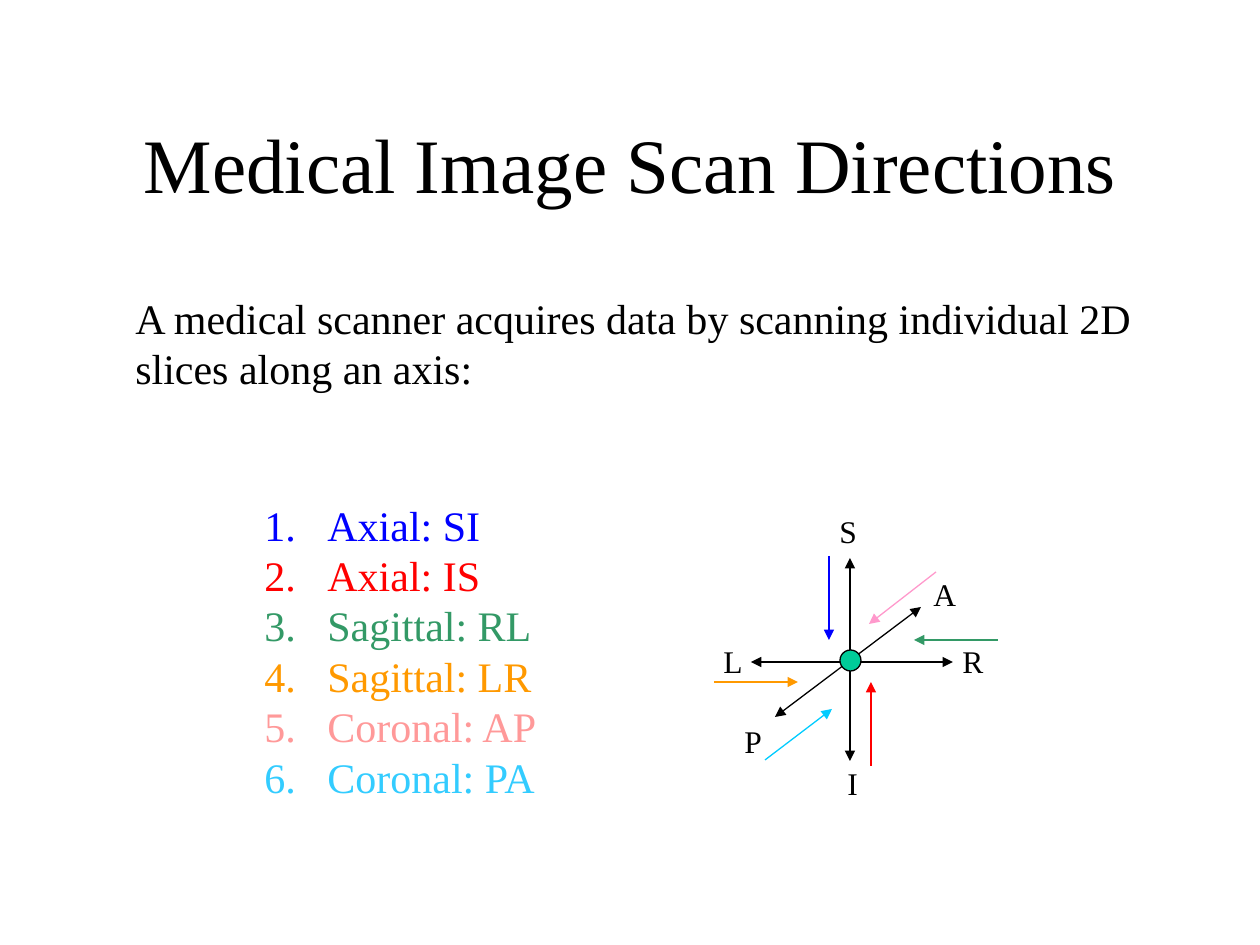
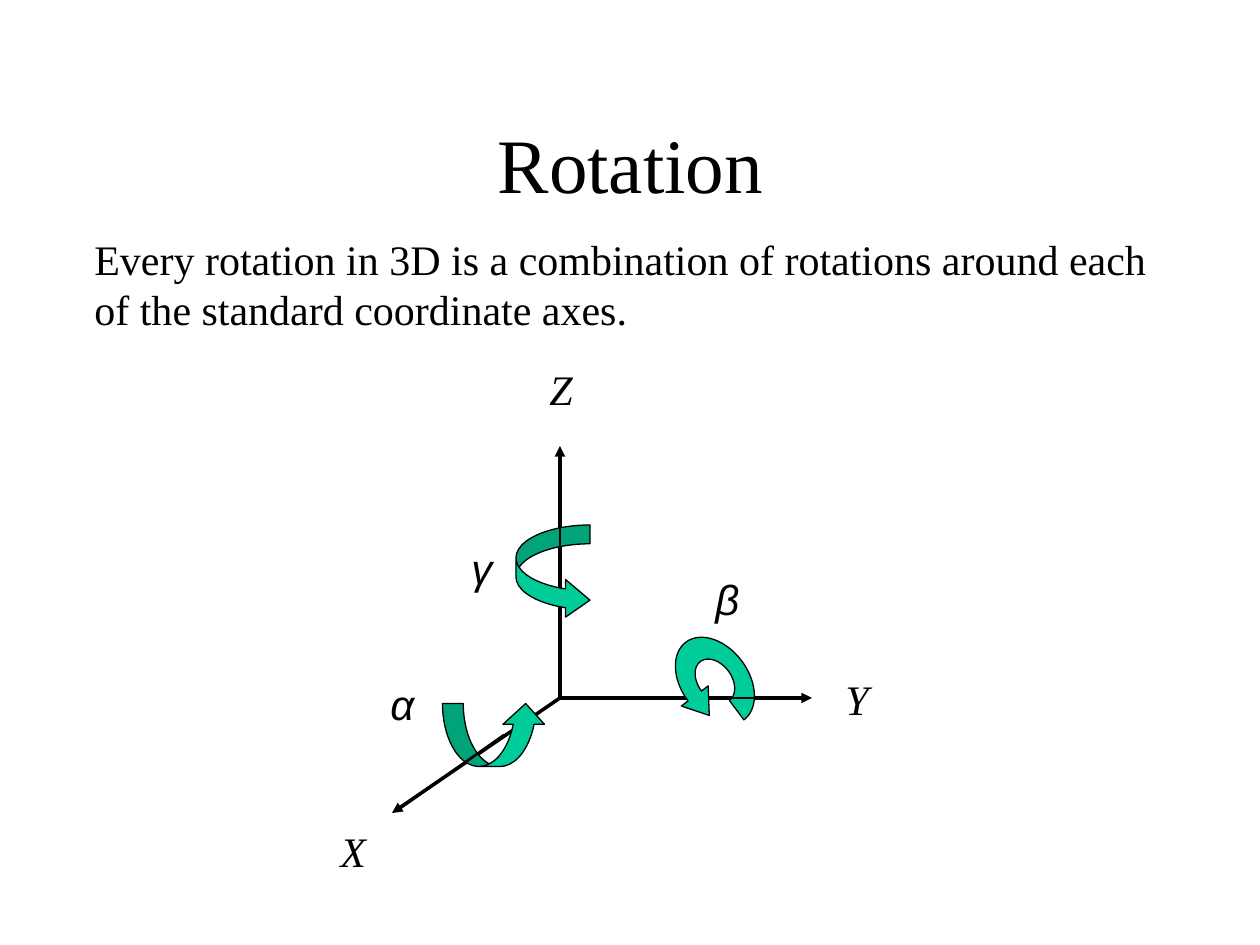
import math
from dataclasses import dataclass

import pptx
import pptx.dml.color
import pptx.enum.shapes
import pptx.enum.text
import pptx.oxml.ns
import pptx.util
from lxml import etree

SHAPE = pptx.enum.shapes.MSO_SHAPE
AUTO = pptx.enum.text.MSO_AUTO_SIZE


@dataclass(frozen=True)
class Theme:
    ink: str = "000000"
    mint: str = "00CC99"
    blue: str = "0000FF"
    red: str = "FF0000"
    green: str = "339966"
    gold: str = "FF9900"
    rose: str = "FF9999"
    pink: str = "FF99CC"
    sky: str = "33CCFF"
    aqua: str = "00CCFF"
    serif: str = "Times New Roman"
    sans: str = "Arial"
    title: int = 44
    body: int = 24
    label: int = 18
    thin: float = 0.75
    mid: float = 1.5
    thick: float = 2


T = Theme()


def px(n):
    """126 px make one inch."""
    return pptx.util.Emu(round(n * 914400 / 126))


def rgb(code):
    return pptx.dml.color.RGBColor.from_string(code)


def add_tag(parent, name, **attrs):
    return etree.SubElement(parent, pptx.oxml.ns.qn("a:" + name), attrs)


# Text
def put_text(para, text, size=T.body, color=T.ink, face=T.serif, slant=False):
    run = para.add_run()
    run.text = text
    font = run.font
    font.size, font.name, font.italic = pptx.util.Pt(size), face, slant
    font.color.rgb = rgb(color)


def add_box(slide, box, wrap=False):
    frame = slide.shapes.add_textbox(*map(px, box)).text_frame
    frame.word_wrap = wrap
    frame.auto_size = AUTO.SHAPE_TO_FIT_TEXT
    return frame


def add_text(slide, box, text, wrap=False, **style):
    put_text(add_box(slide, box, wrap).paragraphs[0], text, **style)


def add_list(slide, box, items):
    frame = add_box(slide, box)
    for i, (text, color) in enumerate(items):
        para = frame.add_paragraph() if i else frame.paragraphs[0]
        props = para._p.get_or_add_pPr()
        props.set("marL", str(px(63)))
        props.set("indent", str(-px(63)))
        add_tag(add_tag(props, "buClr"), "srgbClr", val=color)
        add_tag(props, "buAutoNum", type="arabicPeriod")
        put_text(para, text, color=color)


def new_slide(deck, title):
    slide = deck.slides.add_slide(deck.slide_layouts[5])
    head = slide.shapes.title
    head.left, head.top, head.width, head.height = map(px, (95, 84, 1071, 158))
    frame = head.text_frame
    frame.auto_size = AUTO.NONE
    frame.vertical_anchor = pptx.enum.text.MSO_ANCHOR.MIDDLE
    frame.paragraphs[0].alignment = pptx.enum.text.PP_ALIGN.CENTER
    put_text(frame.paragraphs[0], title, size=T.title)
    return slide


# Lines and shapes
def add_line(slide, ends, color=T.ink, width=T.thin, tips=("tailEnd",)):
    kind = pptx.enum.shapes.MSO_CONNECTOR.STRAIGHT
    line = slide.shapes.add_connector(kind, *map(px, ends))
    line.line.color.rgb = rgb(color)
    line.line.width = pptx.util.Pt(width)
    for tip in tips:
        add_tag(line.line._get_or_add_ln(), tip, type="triangle")
    add_tag(line._element.spPr, "effectLst")


def paint(shape):
    shape.shadow.inherit = False
    shape.fill.solid()
    shape.fill.fore_color.rgb = rgb(T.mint)
    shape.line.color.rgb = rgb(T.ink)
    shape.line.width = pptx.util.Pt(T.thin)


def add_turn(slide, x, y, wide, high, angle=0):
    """Curved arrow whose band is a fifth of its height."""
    turn = slide.shapes.add_shape(
        SHAPE.CURVED_RIGHT_ARROW, *map(px, (x, y, wide, high)))
    band = 0.2 * high / wide
    for i, size in enumerate((band, 2 * band, 0.33)):
        turn.adjustments[i] = size
    turn.rotation = angle
    paint(turn)


def add_ring(slide, mid, radii, angle):
    """Three-quarter ring with an arrowhead, tilted about its middle."""
    arc = [math.radians(a) for a in range(90, -181, -5)]
    outer = [(math.cos(a), math.sin(a)) for a in arc]
    inner = [(x / 2, y / 2) for x, y in reversed(outer)]
    head = [(-1.25, 0), (-0.75, 0.5), (-0.25, 0)]
    cos, sin = math.cos(math.radians(angle)), math.sin(math.radians(angle))

    def place(point):
        x, y = point[0] * radii[0], point[1] * radii[1]
        return px(mid[0] + x * cos - y * sin), px(mid[1] + x * sin + y * cos)

    points = [place(p) for p in outer + head + inner]
    path = slide.shapes.build_freeform(*points[0])
    path.add_line_segments(points[1:], close=True)
    paint(path.convert_to_shape())


# Slides
def scan_slide(deck):
    slide = new_slide(deck, "Medical Image Scan Directions")

    # Body axes
    for ends in ((953, 662, 751, 662), (850, 761, 850, 558),
                 (775, 717, 921, 607)):
        add_line(slide, ends, tips=("headEnd", "tailEnd"))
    paint(slide.shapes.add_shape(SHAPE.OVAL, *map(px, (840, 650, 21, 21))))
    for name, x, y, wide in (("R", 950, 636, 45), ("A", 921, 569, 48),
                             ("S", 827, 506, 43), ("L", 711, 636, 44),
                             ("P", 732, 716, 43), ("I", 835, 758, 35)):
        add_text(slide, (x, y, wide, 50), name, size=T.label)

    # Scan directions
    add_list(slide, (252, 493, 299, 315), (
        ("Axial: SI", T.blue), ("Axial: IS", T.red),
        ("Sagittal: RL", T.green), ("Sagittal: LR", T.gold),
        ("Coronal: AP", T.rose), ("Coronal: PA", T.sky)))
    for color, *ends in ((T.red, 871, 766, 871, 682),
                         (T.blue, 829, 556, 829, 640),
                         (T.green, 998, 640, 914, 640),
                         (T.gold, 714, 682, 798, 682),
                         (T.pink, 936, 572, 869, 624),
                         (T.aqua, 765, 760, 832, 709)):
        add_line(slide, ends, color)
    add_text(slide, (123, 286, 1031, 113),
             "A medical scanner acquires data by scanning individual 2D "
             "slices along an axis:", wrap=True)


def turn_slide(deck):
    slide = new_slide(deck, "Rotation")

    # Coordinate axes
    for tip in ((560, 446), (812, 698), (392, 813)):
        add_line(slide, (560, 698, *tip), width=T.thick)
    for name, x, y, wide in (("X", 328, 819, 50), ("Y", 833, 667, 48),
                             ("Z", 537, 357, 48)):
        add_text(slide, (x, y, wide, 63), name, slant=True)

    # Turns, each with a stretch of its axis in front
    add_turn(slide, 516, 525, 74, 94)
    add_line(slide, (560, 525, 560, 567), width=T.mid, tips=())
    add_turn(slide, 463, 683, 63, 104, angle=270)
    add_line(slide, (504, 735, 399, 809), width=T.mid, tips=())
    add_ring(slide, (715, 681), (33.5, 48.5), 323.3)
    add_line(slide, (716, 698, 779, 698), width=T.mid, tips=())

    add_text(slide, (82, 227, 1084, 113),
             "Every rotation in 3D is a combination of rotations around each "
             "of the standard coordinate axes.", wrap=True)
    for name, x, y, wide in (("α", 378, 672, 52), ("β", 703, 567, 48),
                             ("γ", 459, 536, 49)):
        add_text(slide, (x, y, wide, 63), name, face=T.sans, slant=True)


def main():
    deck = pptx.Presentation()
    deck.slide_width, deck.slide_height = px(1260), px(945)
    scan_slide(deck)
    turn_slide(deck)
    deck.save("out.pptx")


if __name__ == "__main__":
    main()
